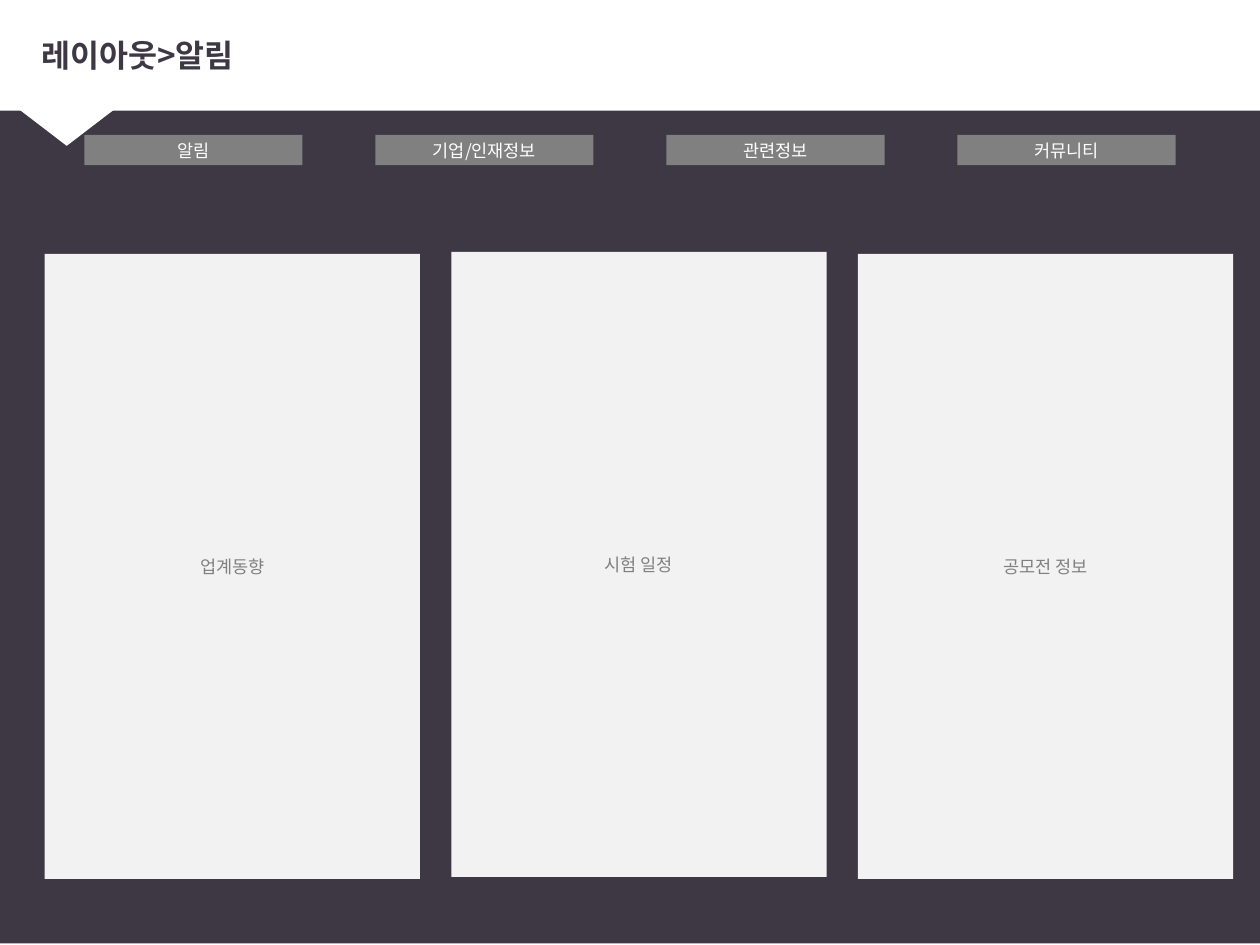
from lxml import etree
from pptx import Presentation
from pptx.dml.color import RGBColor
from pptx.enum.shapes import MSO_SHAPE
from pptx.enum.text import MSO_ANCHOR, PP_ALIGN
from pptx.oxml.ns import qn
from pptx.util import Cm, Pt

RECTANGLE = MSO_SHAPE.RECTANGLE
TRIANGLE = MSO_SHAPE.ISOSCELES_TRIANGLE
LEFT, CENTER = PP_ALIGN.LEFT, PP_ALIGN.CENTER
MIDDLE = MSO_ANCHOR.MIDDLE

FONT = "Noto Sans CJK KR"
DARK, WHITE, GRAY, LIGHT = "3D3844", "FFFFFF", "808080", "F2F2F2"


def color(value):
    return RGBColor.from_string(value)


def write_text(shape, text, size=10, font_color=WHITE, bold=False, align=CENTER):
    frame = shape.text_frame
    frame.word_wrap = True
    frame.vertical_anchor = MIDDLE
    paragraph = frame.paragraphs[0]
    paragraph.alignment = align
    run = paragraph.add_run()
    run.text = text
    run.font.name = FONT
    run.font.size = Pt(size)
    run.font.bold = bold
    run.font.color.rgb = color(font_color)
    # Korean glyphs take the East Asian typeface
    east_asian = etree.SubElement(run.font._element, qn("a:ea"))
    east_asian.set("typeface", FONT)


def add_block(slide, box, fill, kind=RECTANGLE):
    shape = slide.shapes.add_shape(kind, *map(Cm, box))
    shape.shadow.inherit = False
    shape.fill.solid()
    shape.fill.fore_color.rgb = color(fill)
    shape.line.fill.background()
    return shape


def add_header(slide, box, title):
    left, top, width, height = box
    add_block(slide, box, WHITE)
    # Pointer below the header band
    pointer = add_block(slide, (left - 0.43, top + 1.57, 3.71, 1.42), WHITE, TRIANGLE)
    pointer.rotation = 180
    title_box = slide.shapes.add_textbox(
        Cm(left + 0.66), Cm(top + 0.38), Cm(width - 1.29), Cm(1.57))
    write_text(title_box, title, size=18, font_color=DARK, bold=True, align=LEFT)


def add_row(slide, box, labels, gap, fill, font_color, offsets):
    """Spread equal labelled blocks across the box."""
    left, top, width, height = box
    block_width = (width - gap * (len(labels) - 1)) / len(labels)
    for index, (label, offset) in enumerate(zip(labels, offsets)):
        block_left = left + index * (block_width + gap)
        block = add_block(slide, (block_left, top + offset, block_width, height), fill)
        write_text(block, label, font_color=font_color)


presentation = Presentation()
presentation.slide_width, presentation.slide_height = Cm(25.4), Cm(19.05)
slide = presentation.slides.add_slide(presentation.slide_layouts[6])

# Backdrop and header
add_block(slide, (0, -0.03, 25.76, 19.05), DARK)
add_header(slide, (-0.08, -0.05, 25.84, 2.28), "레이아웃>알림")

# Navigation menu
add_row(slide, (1.7, 2.72, 22, 0.61),
        ["알림", "기업/인재정보", "관련정보", "커뮤니티"],
        gap=1.47, fill=GRAY, font_color=WHITE, offsets=[0, 0, 0, 0])

# Content panels, the middle one slightly raised
add_row(slide, (0.9, 5.12, 23.96, 12.6),
        ["업계동향", "시험 일정", "공모전 정보"],
        gap=0.63, fill=LIGHT, font_color=GRAY, offsets=[0, -0.04, 0])

presentation.save("out.pptx")
